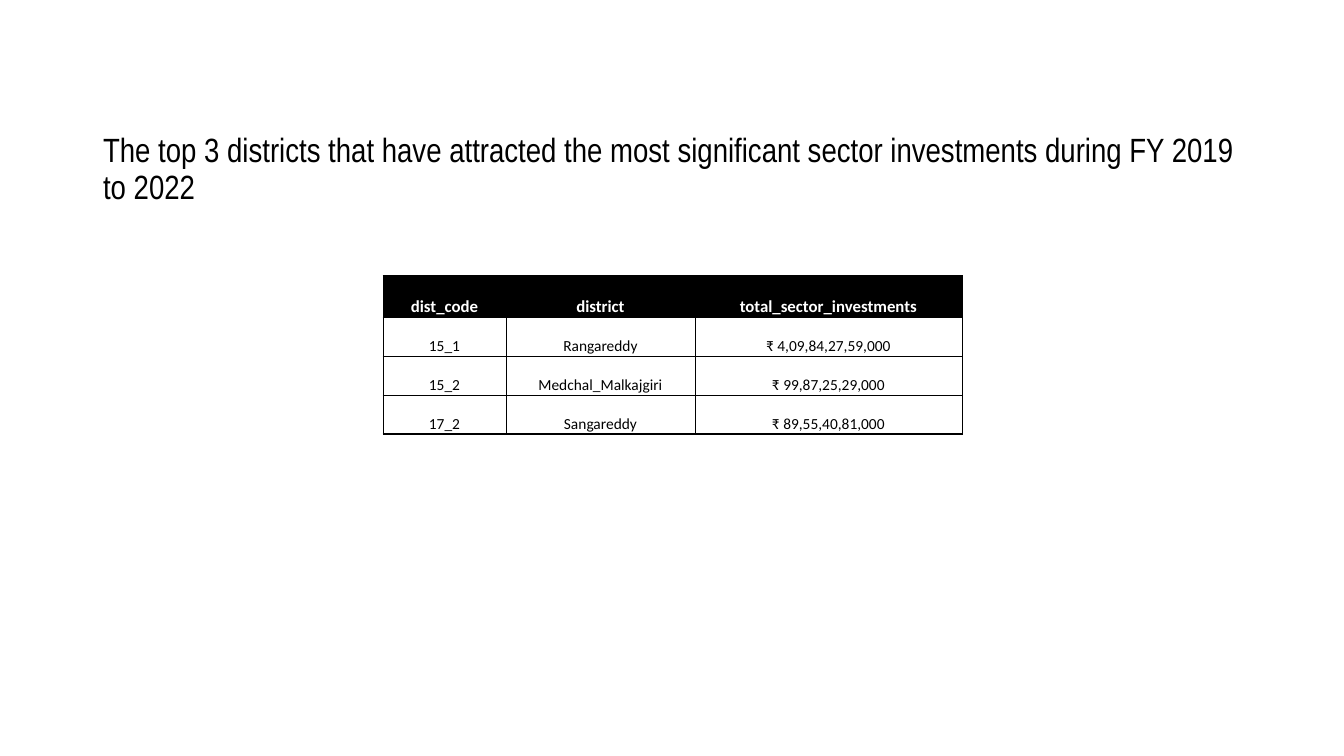
from lxml import etree
from pptx import Presentation
from pptx import util as u
from pptx.dml import color
from pptx.enum import text
from pptx.oxml import ns

SCALE = 9071.43  # EMU per pixel
COLOURS = {"ink": "000000", "paper": "FFFFFF"}
TITLE = ("The top 3 districts that have attracted the most significant "
         "sector investments during FY 2019 to 2022")
INVESTMENTS = [
    ("dist_code", "district", "total_sector_investments"),
    ("15_1", "Rangareddy", "₹ 4,09,84,27,59,000"),
    ("15_2", "Medchal_Malkajgiri", "₹ 99,87,25,29,000"),
    ("17_2", "Sangareddy", "₹ 89,55,40,81,000"),
]
COLUMN_WIDTHS = (123, 189, 267)
ROW_HEIGHTS = (41, 39, 39, 39)


def px(length):
    return u.Emu(round(length * SCALE))


def rgb(name):
    return color.RGBColor.from_string(COLOURS[name])


def apply_format(target, values):
    for name, value in values.items():
        setattr(target, name, value)


def format_text(paragraph, colour, paragraph_format, font_format):
    apply_format(paragraph, paragraph_format)
    font = paragraph.runs[0].font
    apply_format(font, font_format)
    font.color.rgb = rgb(colour)


def add_border(cell, side, points):
    line = etree.SubElement(cell._tc.get_or_add_tcPr(), ns.qn(f"a:ln{side}"),
                            w=str(u.Pt(points)))
    fill = etree.SubElement(line, ns.qn("a:solidFill"))
    etree.SubElement(fill, ns.qn("a:srgbClr"), val=COLOURS["ink"])


def fill_title(slide, left, top, width, height):
    title = slide.shapes.title
    apply_format(title, {"left": px(left), "top": px(top),
                         "width": px(width), "height": px(height)})
    frame = title.text_frame
    frame.text = TITLE
    apply_format(frame, {"word_wrap": True, "auto_size": text.MSO_AUTO_SIZE.NONE,
                         "vertical_anchor": text.MSO_ANCHOR.MIDDLE})
    format_text(frame.paragraphs[0], "ink",
                {"alignment": text.PP_ALIGN.LEFT, "line_spacing": 0.9},
                {"name": "Arial Narrow", "size": u.Pt(24)})


def add_investment_table(slide, left, top):
    table = slide.shapes.add_table(
        len(INVESTMENTS), len(COLUMN_WIDTHS), px(left), px(top),
        px(sum(COLUMN_WIDTHS)), px(sum(ROW_HEIGHTS))).table
    apply_format(table, {"first_row": False, "horz_banding": False})
    for column, width in zip(table.columns, COLUMN_WIDTHS):
        column.width = px(width)
    for row, height in zip(table.rows, ROW_HEIGHTS):
        row.height = px(height)

    last = len(INVESTMENTS) - 1
    for row_index, values in enumerate(INVESTMENTS):
        header = row_index == 0
        for column_index, value in enumerate(values):
            cell = table.cell(row_index, column_index)
            cell.text = value
            apply_format(cell, {"vertical_anchor": text.MSO_ANCHOR.BOTTOM,
                                "margin_left": px(1), "margin_right": px(1),
                                "margin_top": px(1), "margin_bottom": 0})
            format_text(cell.text_frame.paragraphs[0],
                        "paper" if header else "ink",
                        {"alignment": text.PP_ALIGN.CENTER},
                        {"name": "Calibri", "bold": header,
                         "size": u.Pt(12 if header else 11)})
            # Outer top and bottom edges are heavier
            borders = {"L": 0.5, "R": 0.5, "T": 1 if header else 0.5,
                       "B": 1 if row_index == last else 0.5}
            for side, points in borders.items():
                add_border(cell, side, points)
            if header:
                cell.fill.solid()
                cell.fill.fore_color.rgb = rgb("ink")
            else:
                cell.fill.background()


presentation = Presentation()
presentation.slide_width, presentation.slide_height = px(1344), px(756)
slide = presentation.slides.add_slide(presentation.slide_layouts[5])
slide.background.fill.solid()
slide.background.fill.fore_color.rgb = rgb("paper")

# Heading and table
fill_title(slide, 93, 97, 1159, 146)
add_investment_table(slide, 383, 276)
presentation.save("out.pptx")
